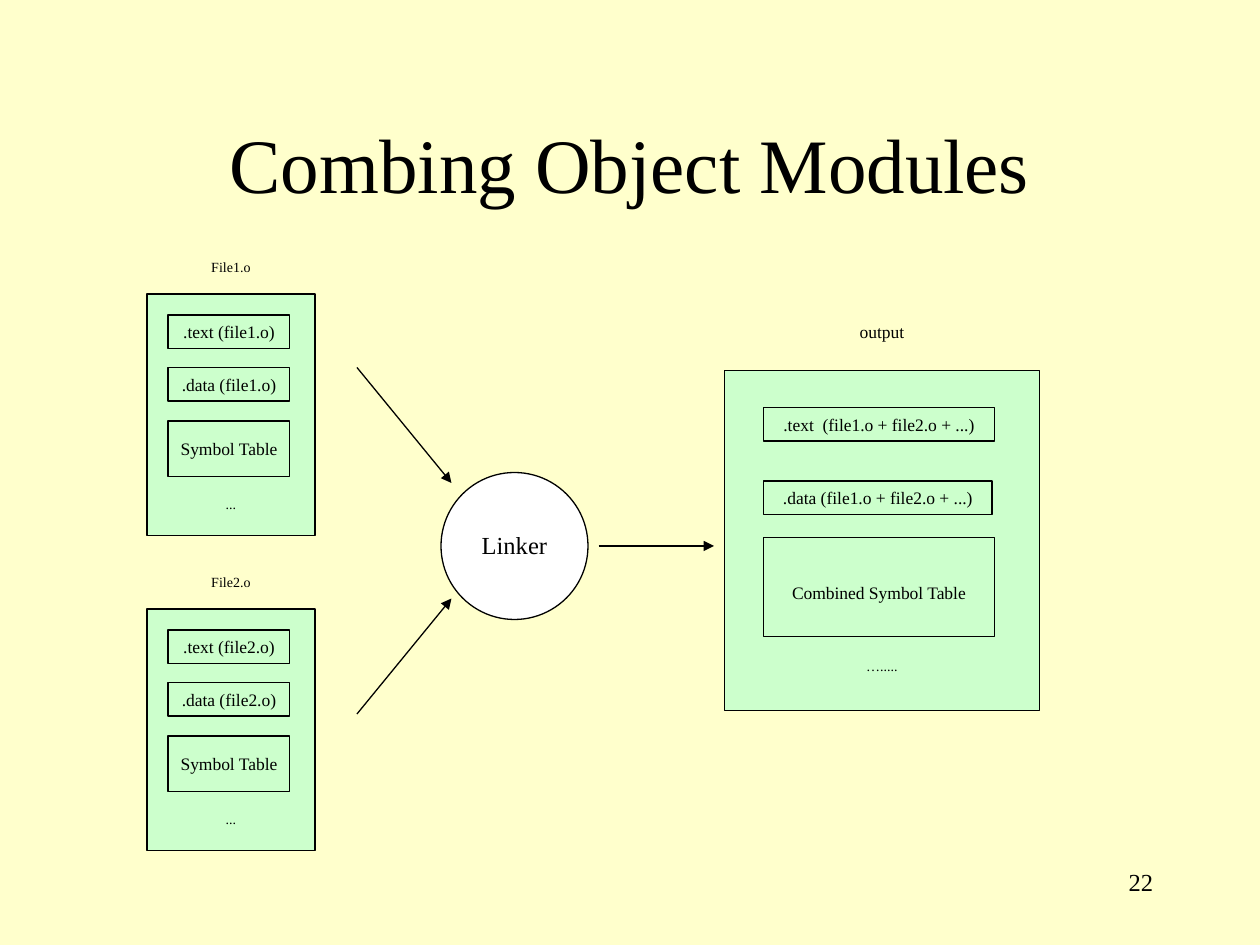
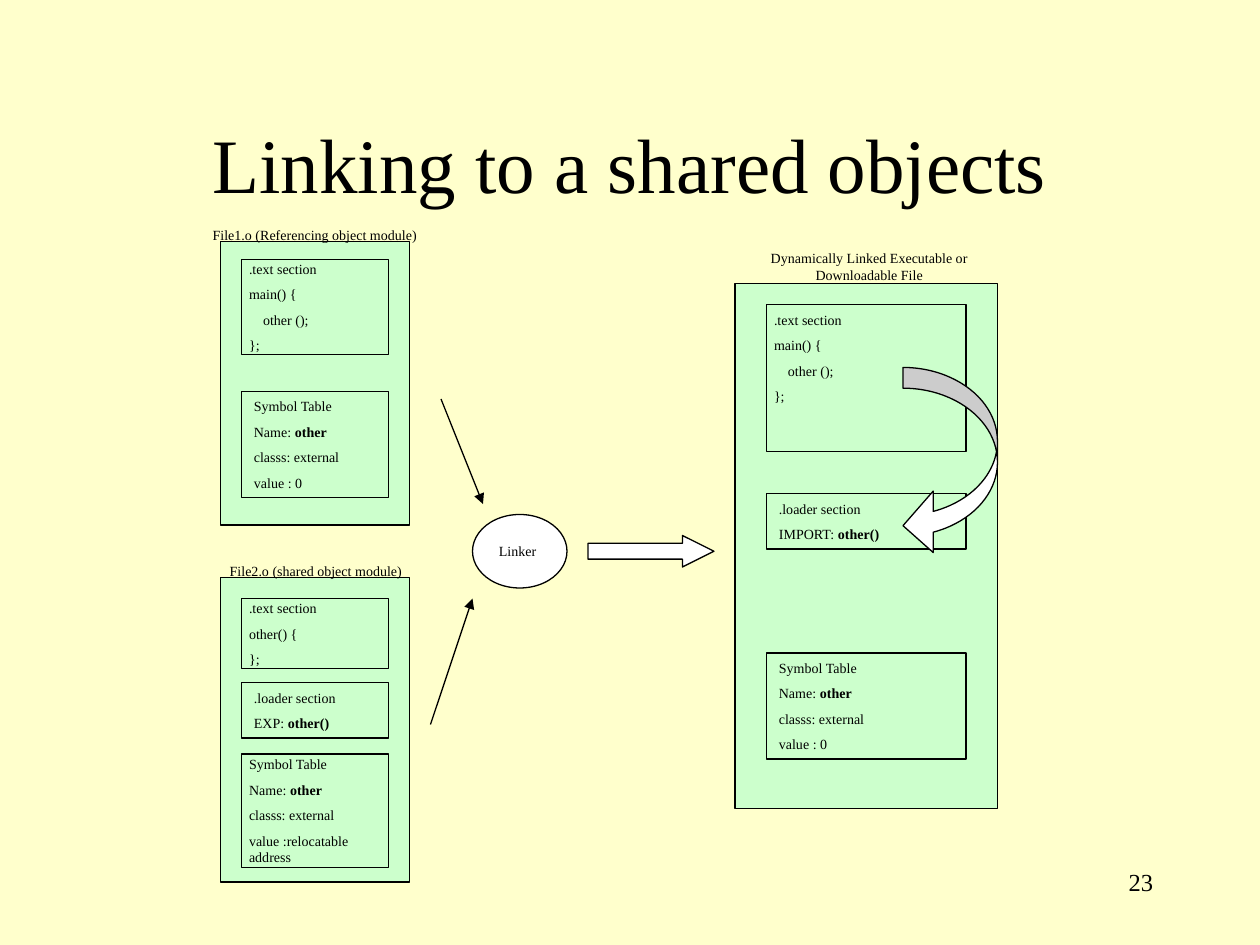
import collections
import pptx
import pptx.dml.color
import pptx.enum.shapes
import pptx.enum.text
import pptx.oxml
import pptx.oxml.ns
import pptx.util

INK, PAPER, GREEN, WHITE = "000000", "FFFFCC", "CCFFCC", "FFFFFF"
FONT = "Times New Roman"
WIDE, TIGHT = (0.1, 0.05, 0.05), (0.06, 0.01, 0.01)
SHAPE = pptx.enum.shapes.MSO_SHAPE
ALIGN = pptx.enum.text.PP_ALIGN
ANCHOR = pptx.enum.text.MSO_ANCHOR
Line = collections.namedtuple("Line", "plain bold dent", defaults=("", 0))

MAIN = [Line(".text section"), Line("main() {"), Line("other ();", dent=8), Line("};")]
OTHER = [Line(".text section"), Line("other() {"), Line("};")]


def grid(*cells):
    """Turn counts of twelfths of an inch into lengths."""
    return [pptx.util.Inches(cell / 12) for cell in cells]


def hue(code):
    """Return the colour of a hex string."""
    return pptx.dml.color.RGBColor.from_string(code)


def stroke(line):
    """Give a line the shared colour and weight."""
    line.color.rgb = hue(INK)
    line.width = pptx.util.Pt(0.75)


def write(frame, lines, size, align=ALIGN.LEFT, pad=WIDE, gap=0, wrap=True,
          anchor=ANCHOR.MIDDLE):
    """Fill a text frame, one paragraph for each line."""
    side, top, low = pad
    frame.margin_left = frame.margin_right = pptx.util.Inches(side)
    frame.margin_top, frame.margin_bottom = pptx.util.Inches(top), pptx.util.Inches(low)
    frame.word_wrap = wrap
    frame.vertical_anchor = anchor
    for num, line in enumerate(lines):
        para = frame.add_paragraph() if num else frame.paragraphs[0]
        para.alignment = align
        para.space_before = pptx.util.Pt(gap)
        if line.dent:
            para._p.get_or_add_pPr().set("marL", str(pptx.util.Pt(line.dent)))
        for text, bold in ((line.plain, False), (line.bold, True)):
            if text:
                run = para.add_run()
                run.text = text
                run.font.name = FONT
                run.font.size = pptx.util.Pt(size)
                run.font.bold = bold
                run.font.color.rgb = hue(INK)


def shape(slide, kind, cells, fill=None, adjust=()):
    """Add an outlined preset shape on the grid."""
    item = slide.shapes.add_shape(kind, *grid(*cells))
    item.shadow.inherit = False
    stroke(item.line)
    if fill:
        item.fill.solid()
        item.fill.fore_color.rgb = hue(fill)
    else:
        item.fill.background()
    for num, value in enumerate(adjust):
        item.adjustments[num] = value
    return item


def panel(slide, *cells):
    """Add the green body of a file."""
    shape(slide, SHAPE.RECTANGLE, cells, GREEN)


def part(slide, cells, text, pad=WIDE):
    """Add a box with one centred name."""
    box = shape(slide, SHAPE.RECTANGLE, cells)
    write(box.text_frame, [Line(text)], 10, ALIGN.CENTER, pad, 6.2)


def code(slide, cells, lines, pad=WIDE):
    """Add a box with a listing."""
    box = shape(slide, SHAPE.RECTANGLE, cells)
    write(box.text_frame, lines, 8, pad=pad, gap=5)


def label(slide, mid, top, text, size=8):
    """Add a caption centred on a column."""
    wide, high = 24, (1.2 * size + 7.2) / 6
    box = slide.shapes.add_textbox(*grid(mid - wide / 2, top, wide, high))
    write(box.text_frame, [Line(text)], size, ALIGN.CENTER, gap=size * 0.62, wrap=False)


def arrow(slide, *cells):
    """Add a straight line with a head at its end."""
    link = slide.shapes.add_connector(pptx.enum.shapes.MSO_CONNECTOR.STRAIGHT, *grid(*cells))
    stroke(link.line)
    space = pptx.oxml.ns.nsdecls("a")
    link.line._get_or_add_ln().append(
        pptx.oxml.parse_xml(f'<a:tailEnd {space} type="triangle"/>'))
    link._element.spPr.append(pptx.oxml.parse_xml(f"<a:effectLst {space}/>"))


def page(deck, title, number):
    """Add a slide with its ground, title and number."""
    slide = deck.slides.add_slide(deck.slide_layouts[6])
    slide.background.fill.solid()
    slide.background.fill.fore_color.rgb = hue(PAPER)
    head = slide.shapes.add_textbox(*grid(9, 8, 102, 15))
    write(head.text_frame, [Line(title)], 44, ALIGN.CENTER)
    foot = slide.shapes.add_textbox(*grid(86, 82, 25, 6))
    write(foot.text_frame, [Line(str(number))], 14, ALIGN.RIGHT, anchor=ANCHOR.TOP)
    return slide


def table(value):
    """Return the lines of a symbol table."""
    return [Line("Symbol Table"), Line("Name: ", "other"),
            Line("classs: external"), Line(value)]


def loader(verb):
    """Return the lines of a loader section."""
    return [Line(".loader section"), Line(f"{verb}: ", "other()")]


def module(slide, top, name):
    """Add an object file with its sections."""
    panel(slide, 14, top, 16, 23)
    label(slide, 22, top - 4, name.capitalize())
    for row, high, text in ((2, 3.2, f".text ({name})"), (7, 3.2, f".data ({name})"),
                            (12.1, 5.3, "Symbol Table")):
        part(slide, (16, top + row, 11.6, high), text)
    label(slide, 22, top + 18.6, "...")


def combine(deck):
    """Show object modules merged by the linker."""
    slide = page(deck, "Combing Object Modules", 22)
    arrow(slide, 34, 35, 43, 46)
    arrow(slide, 34, 68, 43, 57)
    shape(slide, SHAPE.OVAL, (42, 45, 14, 14), WHITE)
    label(slide, 49, 49.9, "Linker", 14)
    module(slide, 28, "file1.o")
    module(slide, 58, "file2.o")
    panel(slide, 69, 35.3, 30, 32.4)
    label(slide, 84, 30, "output", 10)
    part(slide, (72.7, 38.8, 22, 3.2), ".text  (file1.o + file2.o + ...)")
    part(slide, (72.7, 45.8, 21.8, 3.2), ".data (file1.o + file2.o + ...)")
    part(slide, (72.7, 51.2, 22, 9.4), "Combined Symbol Table", (0.1, 0.14, 0.05))
    label(slide, 84, 62, "….....")
    arrow(slide, 57, 52, 68, 52)


def share(deck):
    """Show a program linked to a shared object."""
    slide = page(deck, "Linking to a shared objects", 23)
    panel(slide, 21, 23, 18, 27)
    code(slide, (23, 24.7, 14, 9.1), MAIN, TIGHT)
    code(slide, (23, 37.3, 14, 10.1), table("value : 0"))
    label(slide, 30, 21, "File1.o (Referencing object module)")
    panel(slide, 21, 55, 18, 29)
    code(slide, (23, 57, 14, 6.7), OTHER, TIGHT)
    code(slide, (23, 65, 14, 5.3), loader("EXP"))
    code(slide, (23, 71.8, 14, 10.8), table("value :relocatable address"), TIGHT)
    label(slide, 30.1, 53, "File2.o (shared object module)")
    arrow(slide, 42, 38, 46, 48)
    arrow(slide, 41, 69, 45, 57)
    shape(slide, SHAPE.OVAL, (45, 49, 9, 7), WHITE)
    label(slide, 49.3, 51.1, "Linker")
    shape(slide, SHAPE.RIGHT_ARROW, (56, 51, 12, 3), WHITE, (0.5, 1))
    panel(slide, 70, 27, 25, 50)
    code(slide, (73, 29, 19, 14), MAIN, (0.06, 0.05, 0.37))
    code(slide, (73, 47, 19, 5.3), loader("IMPORT"))
    code(slide, (73, 62.2, 19, 10.1), table("value : 0"))
    shape(slide, SHAPE.CURVED_LEFT_ARROW, (86, 35, 9, 18), WHITE, (0.22, 0.65, 0.32))
    label(slide, 82.8, 24, "Dynamically Linked Executable or Downloadable File")


def main():
    """Build and save the deck."""
    deck = pptx.Presentation()
    deck.slide_width, deck.slide_height = grid(120, 90)
    combine(deck)
    share(deck)
    deck.save("out.pptx")


if __name__ == "__main__":
    main()
